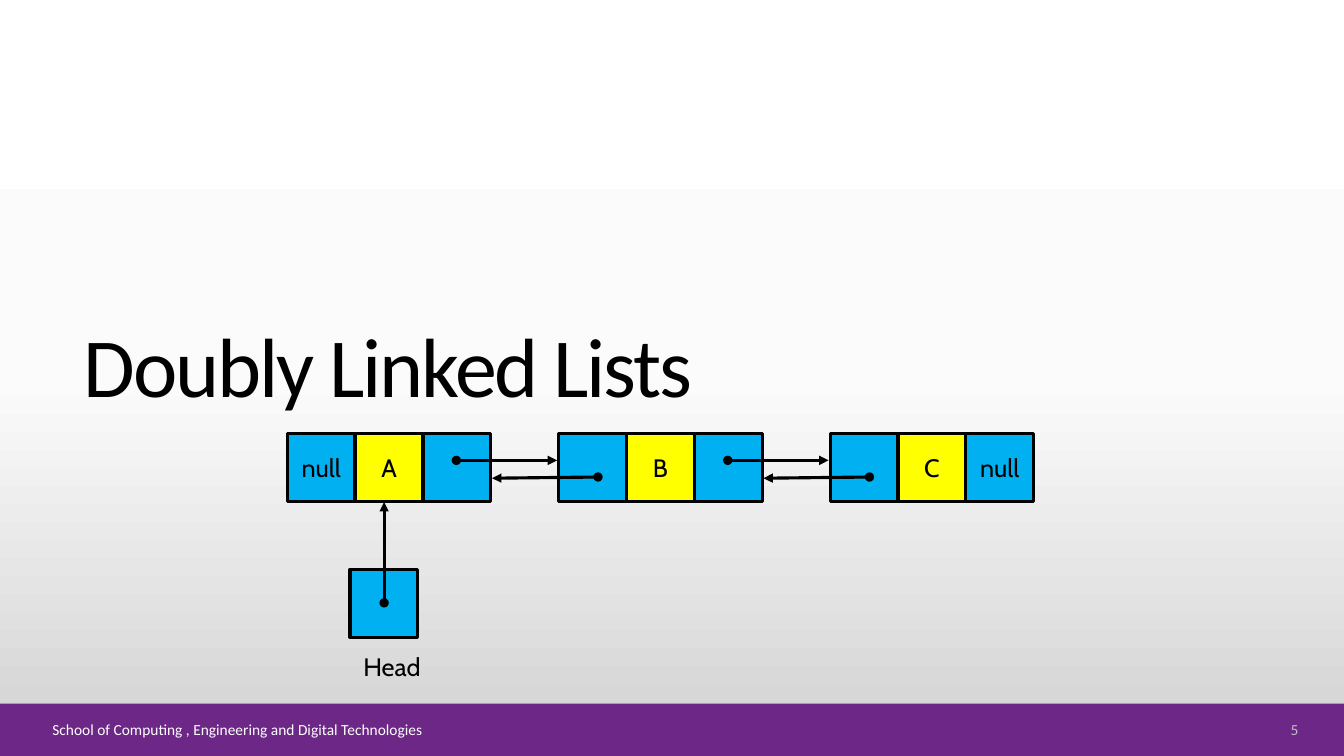
"""Build a slide that shows a doubly linked list of three nodes."""
from copy import deepcopy

from lxml.etree import SubElement
from pptx import Presentation
from pptx.dml.color import RGBColor
from pptx.enum.shapes import MSO_CONNECTOR, MSO_SHAPE
from pptx.enum.text import MSO_ANCHOR, MSO_AUTO_SIZE, PP_ALIGN
from pptx.oxml.ns import qn
from pptx.util import Cm, Pt

BLACK = RGBColor(0x00, 0x00, 0x00)
WHITE = RGBColor(0xFF, 0xFF, 0xFF)
GREY = RGBColor(0xBF, 0xBF, 0xBF)
PURPLE = RGBColor(0x6C, 0x27, 0x87)
BLUE = RGBColor(0x00, 0xB0, 0xF0)
YELLOW = RGBColor(0xFF, 0xFF, 0x00)
BACKGROUND = [(0, WHITE), (0.5, RGBColor(0xFB, 0xFB, 0xFB)), (1, RGBColor(0xD1, 0xD1, 0xD1))]

CELL = 1.71
NODE_LEFT, NODE_TOP, NODE_STEP = 7.24, 10.92, 6.84
HEAD_LEFT, HEAD_TOP, HEAD_X = 8.82, 14.35, 9.68


def write(sp, text, font, size, color, align):
    tf = sp.text_frame
    tf.text = text
    tf.vertical_anchor = MSO_ANCHOR.MIDDLE
    p = tf.paragraphs[0]
    p.alignment = align
    f = p.runs[0].font
    f.name, f.size, f.color.rgb = font, Pt(size), color


def add_box(left, top, width, height, fill):
    sp = s.shapes.add_shape(MSO_SHAPE.RECTANGLE, Cm(left), Cm(top), Cm(width), Cm(height))
    sp.shadow.inherit = False
    sp.fill.solid()
    sp.fill.fore_color.rgb = fill
    sp.line.color.rgb = BLACK
    sp.line.width = Pt(2.25)
    return sp


prs = Presentation()
prs.slide_width, prs.slide_height = Cm(33.87), Cm(19.05)
s = prs.slides.add_slide(prs.slide_layouts[5])

bg = s.background.fill
bg.gradient()
bg.gradient_angle = 270
stops = next(s.element.iter(qn("a:gsLst")))
stops.append(deepcopy(stops[-1]))
for stop, (position, color) in zip(bg.gradient_stops, BACKGROUND):
    stop.position = position
    stop.color.rgb = color

bar = add_box(0, 17.73, 33.87, 1.32, PURPLE)
bar.line.fill.background()

title = s.shapes.title
title.left, title.top, title.width, title.height = Cm(1.85), Cm(2.67), Cm(29.21), Cm(7.92)
write(title, "Doubly Linked Lists", "Calibri", 60, BLACK, PP_ALIGN.LEFT)
title.text_frame.vertical_anchor = MSO_ANCHOR.BOTTOM
title.text_frame.auto_size = MSO_AUTO_SIZE.NONE
p = title.text_frame.paragraphs[0]
p.line_spacing = 0.9
p.runs[0].font._element.set("spc", "-150")

labels = [
    (1.07, 18.08, 29.59, 0.58, "School of Computing , Engineering and Digital Technologies",
     "Calibri", 11, WHITE, PP_ALIGN.LEFT),
    (31.06, 18.08, 1.91, 0.58, "5", "Calibri", 11, GREY, PP_ALIGN.RIGHT),
    (8.89, 16.28, 1.98, 1.02, "Head", "Cabin", 18, BLACK, PP_ALIGN.CENTER),
]
for left, top, width, height, *style in labels:
    sp = s.shapes.add_textbox(Cm(left), Cm(top), Cm(width), Cm(height))
    sp.text_frame.word_wrap = True
    write(sp, *style)

nodes = [("null", "A", ""), ("", "B", ""), ("", "C", "null")]
for i, node in enumerate(nodes):
    for j, text in enumerate(node):
        left = NODE_LEFT + i * NODE_STEP + j * CELL
        sp = add_box(left, NODE_TOP, CELL, CELL, YELLOW if j == 1 else BLUE)
        if text:
            sp.text_frame.margin_left = sp.text_frame.margin_right = 0
            write(sp, text, "Cabin", 18, BLACK, PP_ALIGN.CENTER)
add_box(HEAD_LEFT, HEAD_TOP, CELL, CELL, BLUE)

arrows = [(HEAD_X, 15.19, HEAD_X, 12.65)]
for i in range(len(nodes) - 1):
    left = NODE_LEFT + i * NODE_STEP
    arrows.append((left + 4.26, 11.6, left + 6.8, 11.6))
    arrows.append((left + 7.83, 12.02, left + 5.16, 12.05))
for arrow in arrows:
    line = s.shapes.add_connector(MSO_CONNECTOR.STRAIGHT, *map(Cm, arrow))
    line.line.color.rgb = BLACK
    line.line.width = Pt(2.25)
    spPr = line._element.spPr
    ln = spPr.find(qn("a:ln"))
    SubElement(ln, qn("a:headEnd"), type="oval")
    SubElement(ln, qn("a:tailEnd"), type="triangle")
    SubElement(spPr, qn("a:effectLst"))

prs.save("out.pptx")
